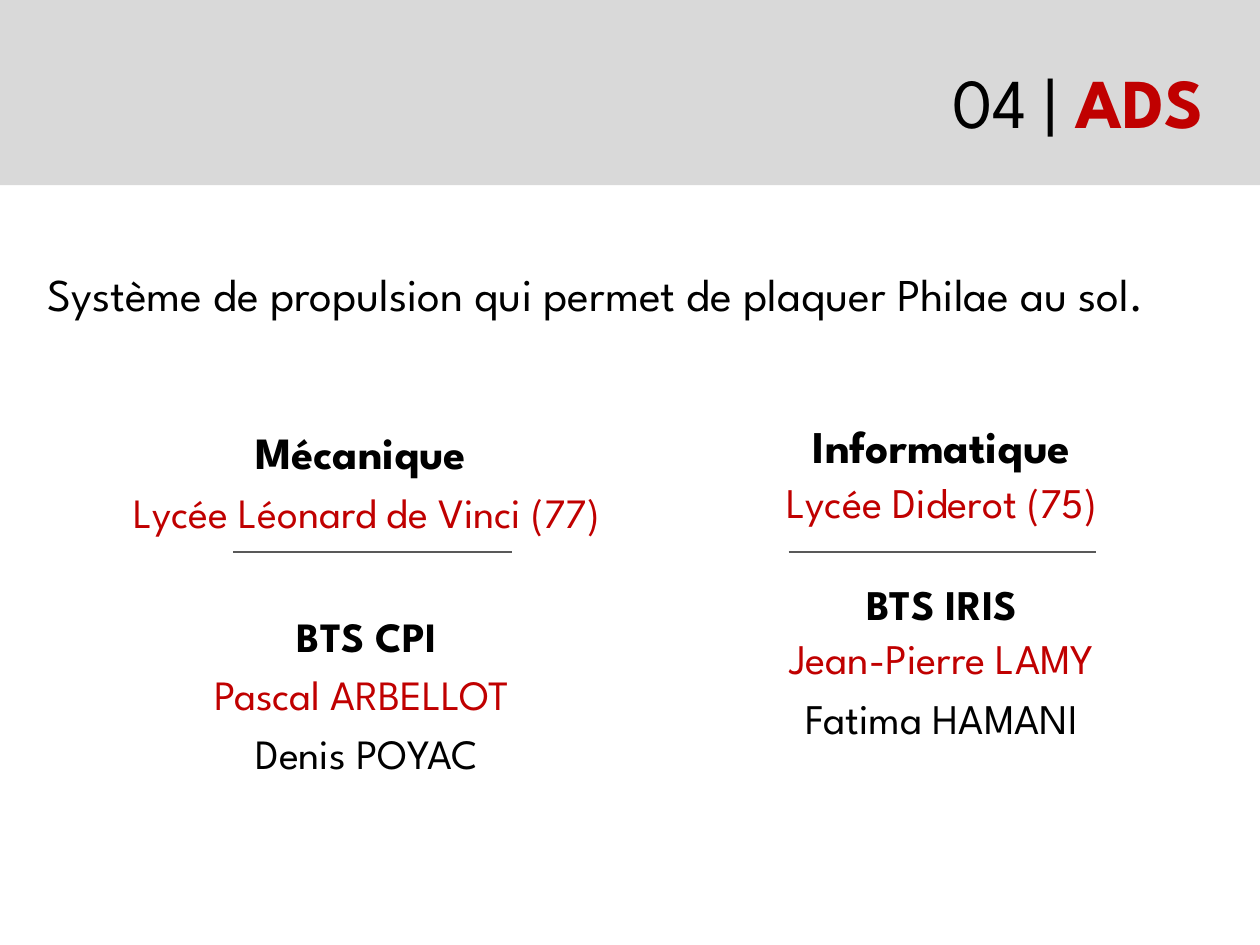
"""Builds the ADS slide: a title band, a sentence and two school columns."""
from dataclasses import dataclass

from lxml import etree
from pptx import Presentation
from pptx.dml.color import RGBColor
from pptx.enum.shapes import MSO_CONNECTOR, MSO_SHAPE
from pptx.enum.text import MSO_ANCHOR, MSO_AUTO_SIZE, PP_ALIGN
from pptx.oxml.ns import qn
from pptx.util import Inches, Pt

LEFT, CENTER, RIGHT = PP_ALIGN.LEFT, PP_ALIGN.CENTER, PP_ALIGN.RIGHT
TOP, MIDDLE = MSO_ANCHOR.TOP, MSO_ANCHOR.MIDDLE
NO_FIT = MSO_AUTO_SIZE.NONE
RECTANGLE = MSO_SHAPE.RECTANGLE
STRAIGHT = MSO_CONNECTOR.STRAIGHT

FONT = "League Spartan"
COLORS = {"text": "000000", "accent": "C00000", "band": "D9D9D9", "rule": "595959"}
RULE_TOP = 4.38
LINE_GAP = 5


@dataclass
class Column:
    """A subject, its school, and the people of its course."""
    left: float
    width: float
    height: float
    rule_start: float
    rule_end: float
    heading_size: float
    text_size: float
    course_gap: float
    line_spacing: float
    subject: str
    school: str
    course: str
    lead: str
    partner: str


COLUMNS = [
    Column(0.35, 5.12, 2.79, 1.85, 4.06, 25.5, 23.8, 42, 1.0,
           "Mécanique ", "Lycée Léonard de Vinci (77)",
           "BTS CPI", "Pascal ARBELLOT ", "Denis POYAC"),
    Column(5.78, 3.39, 2.83, 6.26, 8.7, 25.9, 24.1, 32, 0.9,
           "Informatique", "Lycée Diderot (75)",
           "BTS IRIS", "Jean-Pierre LAMY", "Fatima HAMANI"),
]


def color(name: str) -> RGBColor:
    """Return a named colour."""
    return RGBColor.from_string(COLORS[name])


def set_font(font, size: float, color_name: str = "text", bold: bool = False) -> None:
    """Format the font of a paragraph or span."""
    font.name, font.size, font.bold = FONT, Pt(size), bold
    font.color.rgb = color(color_name)


def set_frame(frame, anchor) -> None:
    """Make a text frame wrap, with a fixed size."""
    frame.word_wrap = True
    frame.auto_size = NO_FIT
    frame.vertical_anchor = anchor


def add_text_box(page, left: float, top: float, width: float, height: float, anchor):
    """Add an empty text box and return its frame."""
    box = page.shapes.add_textbox(Inches(left), Inches(top), Inches(width), Inches(height))
    set_frame(box.text_frame, anchor)
    return box.text_frame


def set_sentence(page) -> None:
    """Place the sentence in the title placeholder."""
    title = page.shapes.title
    title.left, title.top = Inches(0.28), Inches(1.86)
    title.width, title.height = Inches(9.29), Inches(0.94)
    set_frame(title.text_frame, MIDDLE)
    para = title.text_frame.paragraphs[0]
    para.text = "Système de propulsion qui permet de plaquer Philae au sol."
    para.alignment = LEFT
    set_font(para.font, 26)


def add_band(page) -> None:
    """Draw the top band and its section label."""
    band = page.shapes.add_shape(RECTANGLE, 0, 0, Inches(10), Inches(1.47))
    band.shadow.inherit = False
    band.fill.solid()
    band.fill.fore_color.rgb = color("band")
    band.line.fill.background()
    para = add_text_box(page, 2.99, 0.52, 6.66, 0.56, MIDDLE).paragraphs[0]
    para.alignment = RIGHT
    for text, color_name, bold in (("04 | ", "text", False), ("ADS", "accent", True)):
        span = para.add_run()
        span.text = text
        set_font(span.font, 40, color_name, bold)


def add_column(page, column: Column) -> None:
    """Write the lines of one column."""
    frame = add_text_box(page, column.left, 3.32, column.width, column.height, TOP)
    size, spacing = column.text_size, column.line_spacing
    lines = [
        (column.subject, column.heading_size, "text", True, LINE_GAP, spacing),
        (column.school, size, "accent", False, LINE_GAP, spacing),
        (column.course, size, "text", True, column.course_gap, spacing),
        (column.lead, size, "accent", False, LINE_GAP, spacing),
        (column.partner, size, "text", False, LINE_GAP, 1.0),
    ]
    for index, (text, points, color_name, bold, gap, line_spacing) in enumerate(lines):
        para = frame.add_paragraph() if index else frame.paragraphs[0]
        para.text = text
        para.alignment = CENTER
        para.space_before = Pt(gap)
        para.line_spacing = line_spacing
        set_font(para.font, points, color_name, bold)


def add_rule(page, column: Column) -> None:
    """Draw the line under a column's school."""
    rule = page.shapes.add_connector(STRAIGHT, Inches(column.rule_start), Inches(RULE_TOP),
                                     Inches(column.rule_end), Inches(RULE_TOP))
    rule.line.color.rgb = color("rule")
    rule.line.width = Pt(1.5)
    etree.SubElement(rule._element.spPr, qn("a:effectLst"))


def main() -> None:
    """Build and save the deck."""
    deck = Presentation()
    deck.slide_width, deck.slide_height = Inches(10), Inches(7.5)
    page = deck.slides.add_slide(deck.slide_layouts.get_by_name("Title Only"))
    set_sentence(page)
    add_band(page)
    for column in COLUMNS:
        add_column(page, column)
        add_rule(page, column)
    deck.save("out.pptx")


if __name__ == "__main__":
    main()
